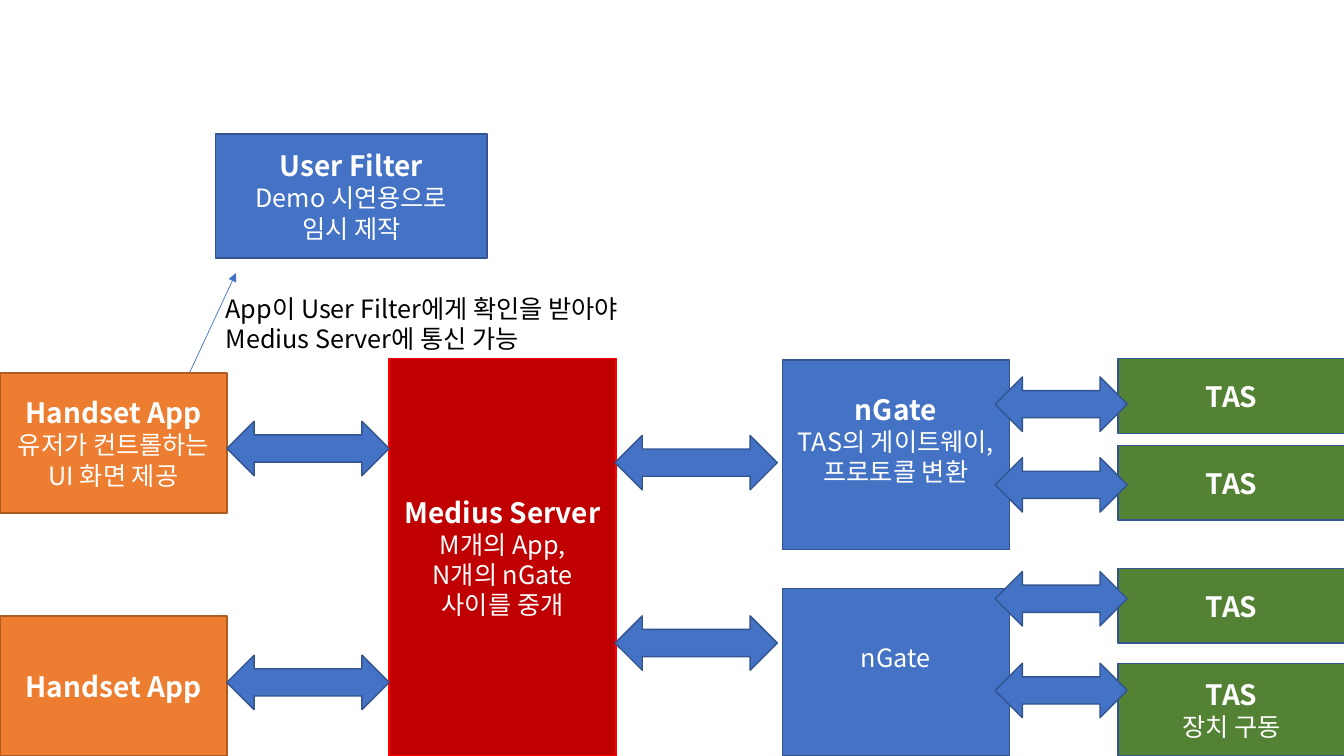
from lxml import etree
from pptx import Presentation
from pptx import util as u
from pptx.dml.color import RGBColor
from pptx.enum import shapes, text
from pptx.oxml import ns

FONT = "Noto Sans CJK KR"
BLUE, NAVY, GREEN = "4472C4", "325491", "548235"
ORANGE, BROWN, DARK_RED, RED = "ED7D31", "AF5C24", "C00000", "FF0000"
HEADING = {"size": u.Pt(20), "bold": True, "name": FONT}
BODY = {"size": u.Pt(18), "bold": False, "name": FONT}


def paint(target, color):
    if hasattr(target, "solid"):
        target.solid()
        target.fore_color.rgb = RGBColor.from_string(color)
    else:
        target.color.rgb = RGBColor.from_string(color)


def write_lines(frame, lines, color, alignment):
    for index, (line, font_format) in enumerate(lines):
        paragraph = frame.paragraphs[0] if index == 0 else frame.add_paragraph()
        paragraph.alignment = alignment
        run = paragraph.add_run()
        run.text = line
        for name, value in font_format.items():
            setattr(run.font, name, value)
        paint(run.font, color)
        east_asian = etree.SubElement(run.font._element, ns.qn("a:ea"))
        east_asian.set("typeface", FONT)


presentation = Presentation()
presentation.slide_width = u.Inches(13.33)
presentation.slide_height = u.Inches(7.5)
slide = presentation.slides.add_slide(presentation.slide_layouts[6])

filter_link = slide.shapes.add_connector(
    shapes.MSO_CONNECTOR.STRAIGHT,
    u.Inches(1.8), u.Inches(3.87), u.Inches(2.34), u.Inches(2.71))
paint(filter_link.line, BLUE)
filter_link.line.width = u.Pt(0.5)
line_properties = filter_link.line._get_or_add_ln()
for end in ("a:headEnd", "a:tailEnd"):
    etree.SubElement(line_properties, ns.qn(end)).set("type", "triangle")
etree.SubElement(filter_link._element.spPr, ns.qn("a:effectLst"))

tas = [("TAS", HEADING)]
app = [("Handset App", HEADING)]
boxes = [
    (0, 3.7, 2.25, 1.39, ORANGE, BROWN, 0.05,
     app + [("유저가 컨트롤하는 UI 화면 제공", BODY)]),
    (0, 6.11, 2.25, 1.39, ORANGE, BROWN, 0.05, app),
    (2.14, 1.33, 2.69, 1.23, BLUE, NAVY, 0.05,
     [("User Filter", HEADING), ("Demo 시연용으로", BODY), ("임시 제작", BODY)]),
    (3.86, 3.56, 2.25, 3.94, DARK_RED, RED, 0.05,
     [("Medius Server", HEADING), ("M개의 App,", BODY),
      ("N개의 nGate", BODY), ("사이를 중개", BODY)]),
    (7.76, 3.57, 2.25, 1.88, BLUE, NAVY, 0.35,
     [("nGate", HEADING), ("TAS의 게이트웨이,", BODY), ("프로토콜 변환", BODY)]),
    (7.76, 5.84, 2.25, 1.66, BLUE, NAVY, 0.35, [("nGate", BODY)]),
    (11.09, 3.56, 2.25, 0.74, GREEN, NAVY, 0.05, tas),
    (11.09, 4.42, 2.25, 0.74, GREEN, NAVY, 0.05, tas),
    (11.09, 5.64, 2.25, 0.74, GREEN, NAVY, 0.05, tas),
    (11.09, 6.58, 2.25, 0.92, GREEN, NAVY, 0.05, tas + [("장치 구동", BODY)]),
]
arrow_columns = [
    (2.25, 1.61, (4.18, 6.5)),
    (6.1, 1.61, (4.32, 6.11)),
    (9.87, 1.31, (3.74, 4.54, 5.67, 6.58)),
]
arrows = [(left, top, width, 0.54, BLUE, NAVY, 0.05, [])
          for left, width, tops in arrow_columns for top in tops]

for kind, items in ((shapes.MSO_SHAPE.RECTANGLE, boxes),
                    (shapes.MSO_SHAPE.LEFT_RIGHT_ARROW, arrows)):
    for left, top, width, height, fill, outline, bottom_inset, lines in items:
        shape = slide.shapes.add_shape(
            kind, u.Inches(left), u.Inches(top), u.Inches(width), u.Inches(height))
        shape.shadow.inherit = False
        paint(shape.fill, fill)
        paint(shape.line, outline)
        shape.line.width = u.Pt(1)
        frame_format = {"word_wrap": True, "vertical_anchor": text.MSO_ANCHOR.MIDDLE,
                        "margin_bottom": u.Inches(bottom_inset)}
        for name, value in frame_format.items():
            setattr(shape.text_frame, name, value)
        write_lines(shape.text_frame, lines, "FFFFFF", text.PP_ALIGN.CENTER)

note = slide.shapes.add_textbox(
    u.Inches(2.14), u.Inches(2.86), u.Inches(4.37), u.Inches(0.71))
note_format = {"word_wrap": False, "auto_size": text.MSO_AUTO_SIZE.SHAPE_TO_FIT_TEXT}
for name, value in note_format.items():
    setattr(note.text_frame, name, value)
note_lines = [("App이 User Filter에게 확인을 받아야", BODY),
              ("Medius Server에 통신 가능", BODY)]
write_lines(note.text_frame, note_lines, "000000", text.PP_ALIGN.LEFT)

presentation.save("out.pptx")
